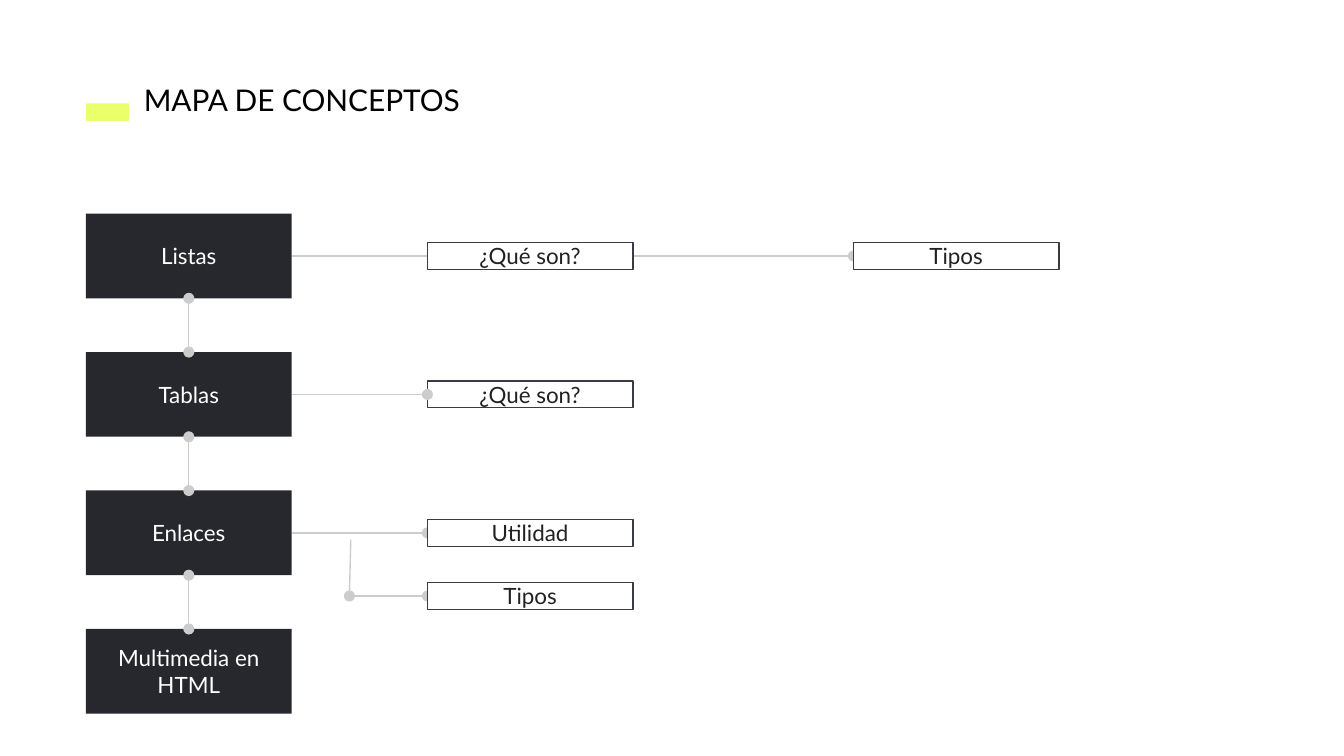
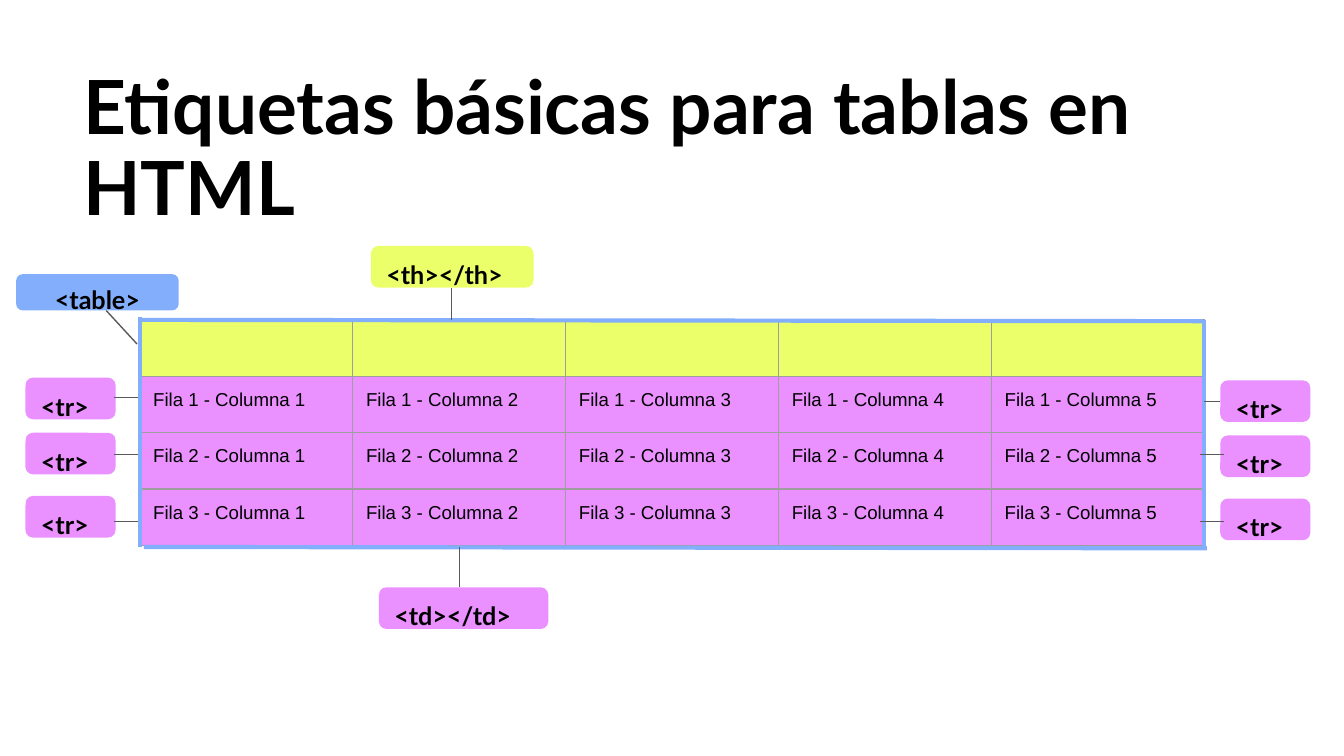
from lxml import etree
from pptx import Presentation
from pptx.dml.color import RGBColor
from pptx.enum.shapes import MSO_CONNECTOR, MSO_SHAPE
from pptx.enum.text import MSO_ANCHOR, MSO_AUTO_SIZE, PP_ALIGN
from pptx.oxml.ns import qn
from pptx.util import Inches, Pt

RECT, ROUND = MSO_SHAPE.RECTANGLE, MSO_SHAPE.ROUNDED_RECTANGLE
LINE, BENT = MSO_CONNECTOR.STRAIGHT, MSO_CONNECTOR.ELBOW
TOP, MIDDLE = MSO_ANCHOR.TOP, MSO_ANCHOR.MIDDLE
LEFT, CENTER = PP_ALIGN.LEFT, PP_ALIGN.CENTER
NO_FIT = MSO_AUTO_SIZE.NONE

LIME, PINK, BLUE = "EAFF6A", "EA90FF", "83AEFB"
DARK, EDGE, INK = "27282D", "393B43", "222222"
BLACK, WHITE = "000000", "FFFFFF"
LINK, WIRE, GRID = "CCCCCC", "595959", "9E9E9E"
SANS, BODY = "Lato", "Arial"


def color(code):
    return RGBColor.from_string(code)


def write(frame, text, size, ink=BLACK, font=SANS, bold=False, align=LEFT,
          anchor=MIDDLE, spacing=None):
    frame.text = text
    frame.word_wrap = True
    frame.vertical_anchor = anchor
    frame.margin_left = frame.margin_right = Inches(0.1)
    frame.margin_top = frame.margin_bottom = Inches(0.1)
    para = frame.paragraphs[0]
    para.alignment = align
    if spacing:
        para.line_spacing = spacing
    style(para, size, ink, font, bold)


def style(para, size, ink, font, bold=False):
    para.font.size = Pt(size)
    para.font.name = font
    para.font.bold = bold
    para.font.color.rgb = color(ink)


def add_title(slide, text, box, size, bold=False, spacing=1.0):
    title = slide.shapes.title
    title.left, title.top, title.width, title.height = map(Inches, box)
    write(title.text_frame, text, size, bold=bold, anchor=TOP, spacing=spacing)
    title.text_frame.auto_size = NO_FIT


def add_box(slide, box, fill, edge=None, kind=RECT):
    shape = slide.shapes.add_shape(kind, *map(Inches, box))
    shape.shadow.inherit = False
    shape.fill.solid()
    shape.fill.fore_color.rgb = color(fill)
    if edge:
        shape.line.color.rgb = color(edge)
        shape.line.width = Pt(0.75)
    else:
        shape.line.fill.background()
    return shape


def add_line(slide, start, end, ink, width=0.75, kind=LINE, ends=()):
    """Join two points; ends names the tips ("headEnd", "tailEnd") with a dot."""
    line = slide.shapes.add_connector(kind, *map(Inches, (*start, *end)))
    line.line.color.rgb = color(ink)
    line.line.width = Pt(width)
    props = line._element.spPr
    for tip in ends:
        etree.SubElement(props.find(qn("a:ln")), qn("a:" + tip), type="oval")
    etree.SubElement(props, qn("a:effectLst"))


def concept_map(slide, x, y):
    wide, high, step, thin = 1.53, 0.63, 1.03, 0.2
    mid, right = x + wide / 2, x + wide
    near, far, fork = x + 2.54, x + 5.71, x + 1.96

    topics = ("Listas", "Tablas", "Enlaces", "Multimedia en HTML")
    for row, text in enumerate(topics):
        box = add_box(slide, (x, y + row * step, wide, high), DARK)
        write(box.text_frame, text, 12, WHITE, align=CENTER)
    for row in range(len(topics) - 1):
        top = y + row * step + high
        add_line(slide, (mid, top), (mid, y + (row + 1) * step), LINK,
                 ends=("headEnd", "tailEnd"))

    def branch(start, end, level, kind=LINE):
        add_line(slide, (start, y + level), (end, y + level), LINK,
                 kind=kind, ends=("tailEnd",))

    def detail(left, level, text):
        box = add_box(slide, (left, y + level - thin / 2, wide, thin), WHITE, EDGE)
        write(box.text_frame, text, 12, INK, align=CENTER)

    first, second, third = (high / 2 + row * step for row in range(3))
    fourth = third + 0.47
    branch(right, right + 1.64, first, BENT)
    branch(near + wide, far, first, BENT)
    branch(right, near, third)
    branch(fork, near, fourth)
    add_line(slide, (fork + 0.01, y + third + 0.05), (fork, y + fourth), LINK,
             ends=("tailEnd",))
    for left, level, text in (
            (near, first, "¿Qué son?"), (far, first, "Tipos"),
            (near, second, "¿Qué son?"), (near, third, "Utilidad"),
            (near, fourth, "Tipos")):
        detail(left, level, text)
    branch(right, near, second)


def set_cell(cell, fill):
    props = cell._tc.get_or_add_tcPr()
    for side in ("lnL", "lnR", "lnT", "lnB"):
        edge = etree.SubElement(props, qn("a:" + side), w=str(Pt(0.75)))
        solid = etree.SubElement(edge, qn("a:solidFill"))
        etree.SubElement(solid, qn("a:srgbClr"), val=GRID)
    cell.fill.solid()
    cell.fill.fore_color.rgb = color(fill)


def cell_table(slide, x, y, rows, cols, wide, high):
    frame = slide.shapes.add_table(
        rows, cols, *map(Inches, (x, y, cols * wide, rows * high)))
    table = frame.table
    table.first_row = table.horz_banding = False
    for col in table.columns:
        col.width = Inches(wide)
    for num, row in enumerate(table.rows):
        row.height = Inches(high)
        for col, cell in enumerate(row.cells, 1):
            set_cell(cell, PINK if num else LIME)
            if num:
                cell.text = f"Fila {num} - Columna {col}"
                cell.margin_top = cell.margin_bottom = Inches(0.1)
            style(cell.text_frame.paragraphs[0], 10, BLACK, BODY)


def add_tag(slide, text, box, fill, align=LEFT):
    tag = add_box(slide, box, fill, kind=ROUND)
    tag.adjustments[0] = 0.18
    write(tag.text_frame, text, 13.5, bold=True, align=align, spacing=1.5)


def table_map(slide, x, y):
    rows, cols, high = 4, 5, 0.42
    wide = 7.92 / cols
    right, base = x + cols * wide, y + rows * high + 0.01
    cell_table(slide, x, y, rows, cols, wide, high)
    for start, end in (
            ((x, y - 0.02), (x, base)),
            ((right, y), (right, base + 0.02)),
            ((right + 0.02, base + 0.01), (x + 0.03, base)),
            ((right - 0.01, y + 0.01), (x + 0.01, y))):
        add_line(slide, start, end, BLUE, 2.25)

    for top, near, far, tip in ((0.43, 0.58, 0.61, 0.12),
                                (0.84, 1.0, 1.0, 0.15),
                                (1.31, 1.5, 1.5, 0.15)):
        add_tag(slide, "<tr>", (x - 0.85, y + top, 0.67, 0.31), PINK)
        add_tag(slide, "<tr>", (right + 0.12, y + top + 0.02, 0.67, 0.31), PINK)
        add_line(slide, (x - 0.01, y + near), (x - 0.19, y + near), WIRE)
        add_line(slide, (right + tip, y + far),
                 (right + 0.12 - tip, y + far), WIRE)

    add_line(slide, (x + 2.32, y), (x + 2.32, y - 0.24), WIRE)
    add_tag(slide, "<th></th>", (x + 1.72, y - 0.55, 1.21, 0.31), LIME)
    add_line(slide, (x + 2.38, base + 0.3), (x + 2.38, base), WIRE)
    add_tag(slide, "<td></td>", (x + 1.78, base + 0.3, 1.26, 0.31), PINK)
    add_line(slide, (x - 0.02, y + 0.18), (x - 0.25, y - 0.07), WIRE)
    add_tag(slide, "<table>", (x - 0.92, y - 0.34, 1.21, 0.27), BLUE, CENTER)


def main():
    deck = Presentation()
    deck.slide_width = Inches(10)
    deck.slide_height = deck.slide_width * 9 // 16
    layout = deck.slide_layouts[5]

    slide = deck.slides.add_slide(layout)
    add_box(slide, (0.64, 0.77, 0.32, 0.13), LIME)
    add_title(slide, "MAPA DE CONCEPTOS", (0.97, 0.51, 2.69, 0.47), 16)
    concept_map(slide, 0.64, 1.59)

    slide = deck.slides.add_slide(layout)
    add_title(slide, "Etiquetas básicas para tablas en HTML",
              (0.52, 0.42, 8.9, 1.41), 40, bold=True, spacing=0.9)
    table_map(slide, 1.04, 2.38)
    deck.save("out.pptx")


if __name__ == "__main__":
    main()
